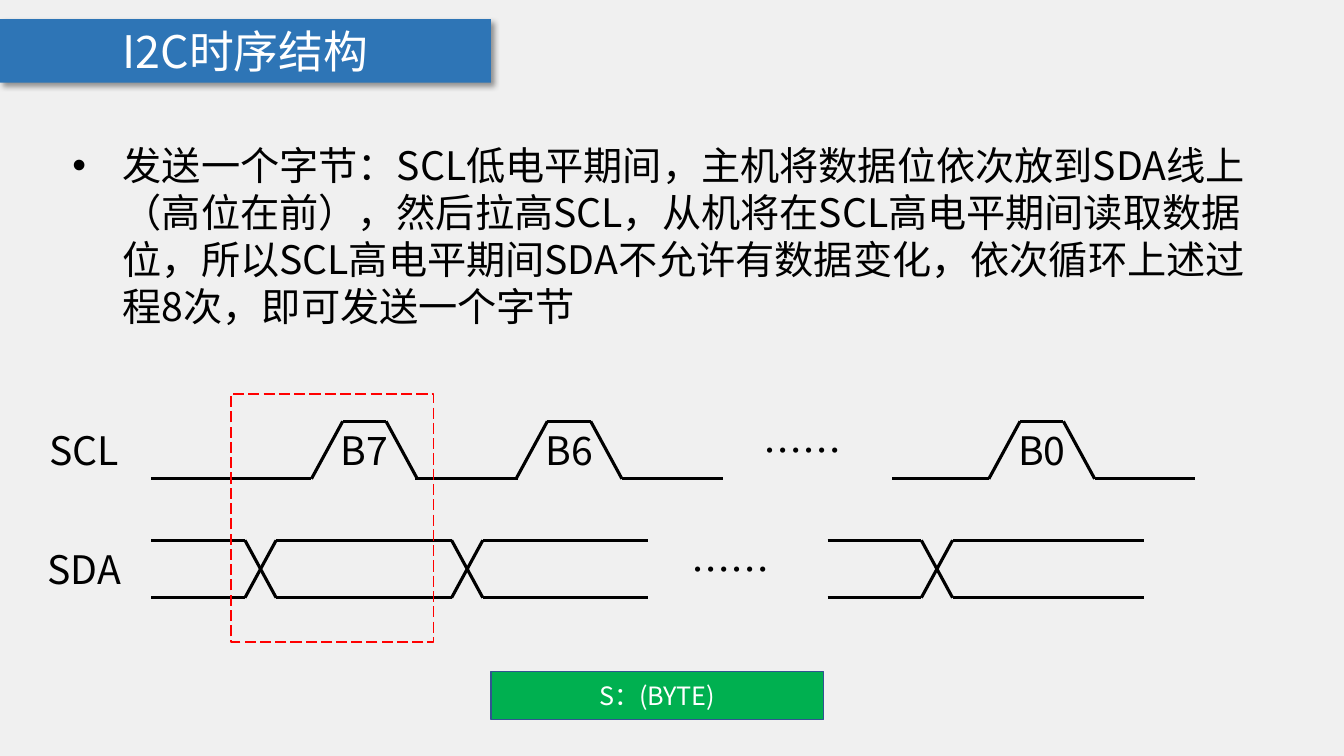
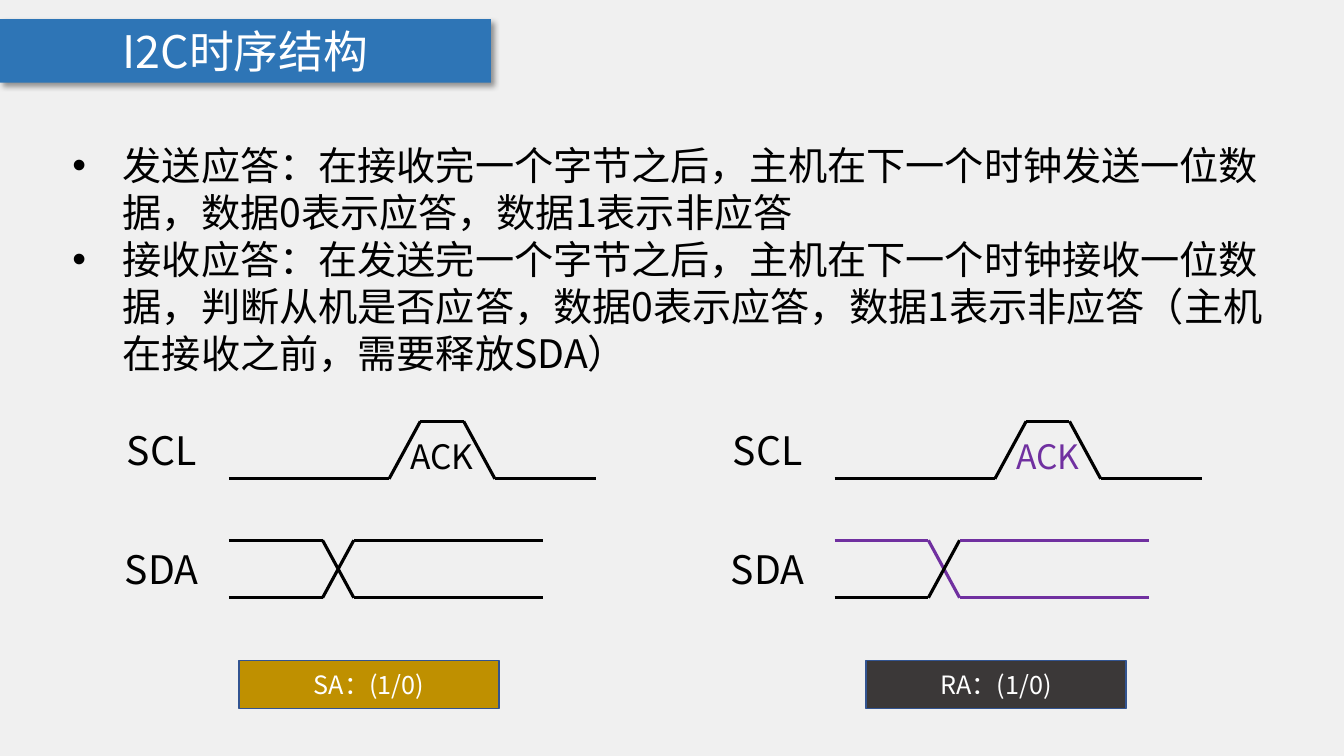
from itertools import pairwise

from lxml.etree import SubElement
from pptx import Presentation
from pptx.dml.color import RGBColor
from pptx.enum.dml import MSO_LINE
from pptx.enum.shapes import MSO_CONNECTOR, MSO_SHAPE
from pptx.enum.text import MSO_ANCHOR, PP_ALIGN
from pptx.oxml.ns import qn
from pptx.util import Inches, Pt

FONT = "Noto Sans CJK SC"
BACKGROUND, BLUE, EDGE = "F0F0F0", "2E75B6", "325491"
BLACK, WHITE, RED, PURPLE = "000000", "FFFFFF", "FF0000", "7030A0"
GREEN, GOLD, CHARCOAL = "00B050", "BF9000", "3B3838"

COLUMNS, ROWS = 133.33, 75
SCL_ROW, SDA_ROW, LEVEL = 41.8, 53.6, 5.7
SLOPE, CREST, CROSS_LEAD = 3.1, 4.3, 9.3
NAME_WIDTH, WAVE_OFFSET = 12.9, 13.1
LINE_HEIGHT = 1.2


def grid(*cells):
    """Turn grid columns or rows, a tenth of an inch each, into lengths."""
    return [Inches(cell / 10) for cell in cells]


def color(hex_code):
    """Give the colour for a hex string."""
    return RGBColor.from_string(hex_code)


def write(frame, paragraphs, size, hex_code, align=PP_ALIGN.CENTER, bullet=False):
    """Fill a text frame with paragraphs of one style."""
    frame.word_wrap = True
    frame.text = "\n".join(paragraphs)
    for paragraph in frame.paragraphs:
        if bullet:
            props = paragraph._p.get_or_add_pPr()
            props.set("marL", str(Inches(0.5)))
            props.set("indent", str(-Inches(0.5)))
            SubElement(props, qn("a:buFont")).set("typeface", "Arial")
            SubElement(props, qn("a:buChar")).set("char", "•")
        paragraph.alignment = align
        paragraph.line_spacing = Pt(size * LINE_HEIGHT)
        paragraph.font.size = Pt(size)
        paragraph.font.name = FONT
        paragraph.font.color.rgb = color(hex_code)
        defaults = paragraph._p.pPr.find(qn("a:defRPr"))
        SubElement(defaults, qn("a:ea")).set("typeface", FONT)


def label(slide, box, text, size=28, hex_code=BLACK):
    """Place a centred label."""
    write(slide.shapes.add_textbox(*grid(*box)).text_frame, [text], size, hex_code)


def panel(slide, box, fill=None, edge=None):
    """Place a rectangle with an optional fill and edge."""
    rect = slide.shapes.add_shape(MSO_SHAPE.RECTANGLE, *grid(*box))
    rect.shadow.inherit = False
    if fill:
        rect.fill.solid()
        rect.fill.fore_color.rgb = color(fill)
    else:
        rect.fill.background()
    if edge:
        rect.line.color.rgb = color(edge)
        rect.line.width = Pt(1)
    else:
        rect.line.fill.background()
    return rect


def caption(slide, box, text, size, fill, edge=None):
    """Place a filled rectangle with centred white text."""
    rect = panel(slide, box, fill, edge)
    rect.text_frame.vertical_anchor = MSO_ANCHOR.MIDDLE
    write(rect.text_frame, [text], size, WHITE)
    return rect


def title_band(slide, box, text):
    """Place the title band with its soft shadow."""
    band = caption(slide, box, text, 32, BLUE)
    effects = band._element.spPr.find(qn("a:effectLst"))
    shadow = SubElement(effects, qn("a:outerShdw"), blurRad=str(Pt(4)),
                        dist=str(Pt(3)), dir="2700000", algn="tl", rotWithShape="0")
    tint = SubElement(shadow, qn("a:srgbClr"), val=BLACK)
    SubElement(tint, qn("a:alpha"), val="40000")


def body(slide, box, paragraphs):
    """Place the bulleted explanation."""
    frame = slide.shapes.add_textbox(*grid(*box)).text_frame
    write(frame, paragraphs, 28, BLACK, PP_ALIGN.LEFT, bullet=True)


def trace(group, points, colors):
    """Join points with one signal segment per colour."""
    for (start, end), hex_code in zip(pairwise(points), colors):
        segment = group.shapes.add_connector(MSO_CONNECTOR.STRAIGHT, *grid(*start, *end))
        segment.line.color.rgb = color(hex_code)
        segment.line.width = Pt(2.25)
        SubElement(segment._element.spPr, qn("a:effectLst"))


def clock_pulse(slide, left, lead, bit, size=28, drop=0, hex_code=BLACK):
    """Draw one SCL pulse and the bit name under its crest."""
    high, low = SCL_ROW, SCL_ROW + LEVEL
    rise = left + lead
    crest = rise + SLOPE
    fall = crest + CREST
    end = fall + SLOPE
    points = [(left, low), (rise, low), (crest, high), (fall, high), (end, low), (end + 10, low)]
    trace(slide.shapes.add_group_shape(), points, [BLACK] * 5)
    width = 9.3
    name_left = crest + (CREST - width) / 2
    label(slide, (name_left, SCL_ROW + drop, width, LEVEL - drop), bit, size, hex_code)


def data_cross(slide, left, tail, driven=BLACK):
    """Draw one SDA change, with the driven levels in their own colour."""
    high, low = SDA_ROW, SDA_ROW + LEVEL
    start = left + CROSS_LEAD
    end = start + SLOPE
    group = slide.shapes.add_group_shape()
    for before, after, colors in ((high, low, [driven] * 3), (low, high, [BLACK, BLACK, driven])):
        points = [(left, before), (start, before), (end, after), (end + tail, after)]
        trace(group, points, colors)


def signal_names(slide, left):
    """Name the two signal rows."""
    for row, name in ((SCL_ROW, "SCL"), (SDA_ROW, "SDA")):
        label(slide, (left, row, NAME_WIDTH, LEVEL), name)


def byte_timing(slide, left):
    """Draw the timing of a whole byte."""
    signal_names(slide, left)
    wave = left + WAVE_OFFSET
    for offset, lead, bit in ((0, 15.9, "B7"), (26.2, 10, "B6"), (73.5, 9.6, "B0")):
        clock_pulse(slide, wave + offset, lead, bit)
    for offset, tail in ((0, 10), (20.5, 16.4), (67.1, 19)):
        data_cross(slide, wave + offset, tail)
    for offset, row in ((58.2, SCL_ROW), (51, SDA_ROW)):
        label(slide, (wave + offset, row, NAME_WIDTH, LEVEL), "……")
    cycle = panel(slide, (wave + 7.9, 39.1, 20.1, 24.6), edge=RED)
    cycle.line.dash_style = MSO_LINE.LONG_DASH


def ack_timing(slide, left, driven=BLACK):
    """Draw the timing of one acknowledge bit."""
    signal_names(slide, left)
    wave = left + WAVE_OFFSET
    clock_pulse(slide, wave, 15.9, "ACK", 24, 1, driven)
    data_cross(slide, wave, 18.8, driven)


def topic_slide(deck, paragraphs):
    """Add a slide with the shared background, title and explanation."""
    slide = deck.slides.add_slide(deck.slide_layouts[6])
    slide.background.fill.solid()
    slide.background.fill.fore_color.rgb = color(BACKGROUND)
    title_band(slide, (0, 1.9, 48.7, 6.3), "I2C时序结构")
    body(slide, (6.2, 13.5, 120.8, 24.6), paragraphs)
    return slide


def send_byte_slide(deck):
    """Explain sending a byte."""
    slide = topic_slide(deck, [
        "发送一个字节：SCL低电平期间，主机将数据位依次放到SDA线上（高位在前），"
        "然后拉高SCL，从机将在SCL高电平期间读取数据位，所以SCL高电平期间SDA"
        "不允许有数据变化，依次循环上述过程8次，即可发送一个字节",
    ])
    byte_timing(slide, 1.9)
    caption(slide, (48.7, 66.6, 33, 4.8), "S：(BYTE)", 18, GREEN, EDGE)


def acknowledge_slide(deck):
    """Explain sending and receiving an acknowledge bit."""
    slide = topic_slide(deck, [
        "发送应答：在接收完一个字节之后，主机在下一个时钟发送一位数据，"
        "数据0表示应答，数据1表示非应答",
        "接收应答：在发送完一个字节之后，主机在下一个时钟接收一位数据，"
        "判断从机是否应答，数据0表示应答，数据1表示非应答（主机在接收之前，需要释放SDA）",
    ])
    for left, driven, badge_left, badge, fill in (
        (9.6, BLACK, 23.7, "SA：(1/0)", GOLD),
        (69.7, PURPLE, 85.9, "RA：(1/0)", CHARCOAL),
    ):
        ack_timing(slide, left, driven)
        caption(slide, (badge_left, 65.5, 25.8, 4.8), badge, 18, fill, EDGE)


def main():
    """Build and save the deck."""
    deck = Presentation()
    deck.slide_width, deck.slide_height = grid(COLUMNS, ROWS)
    send_byte_slide(deck)
    acknowledge_slide(deck)
    deck.save("out.pptx")


if __name__ == "__main__":
    main()
